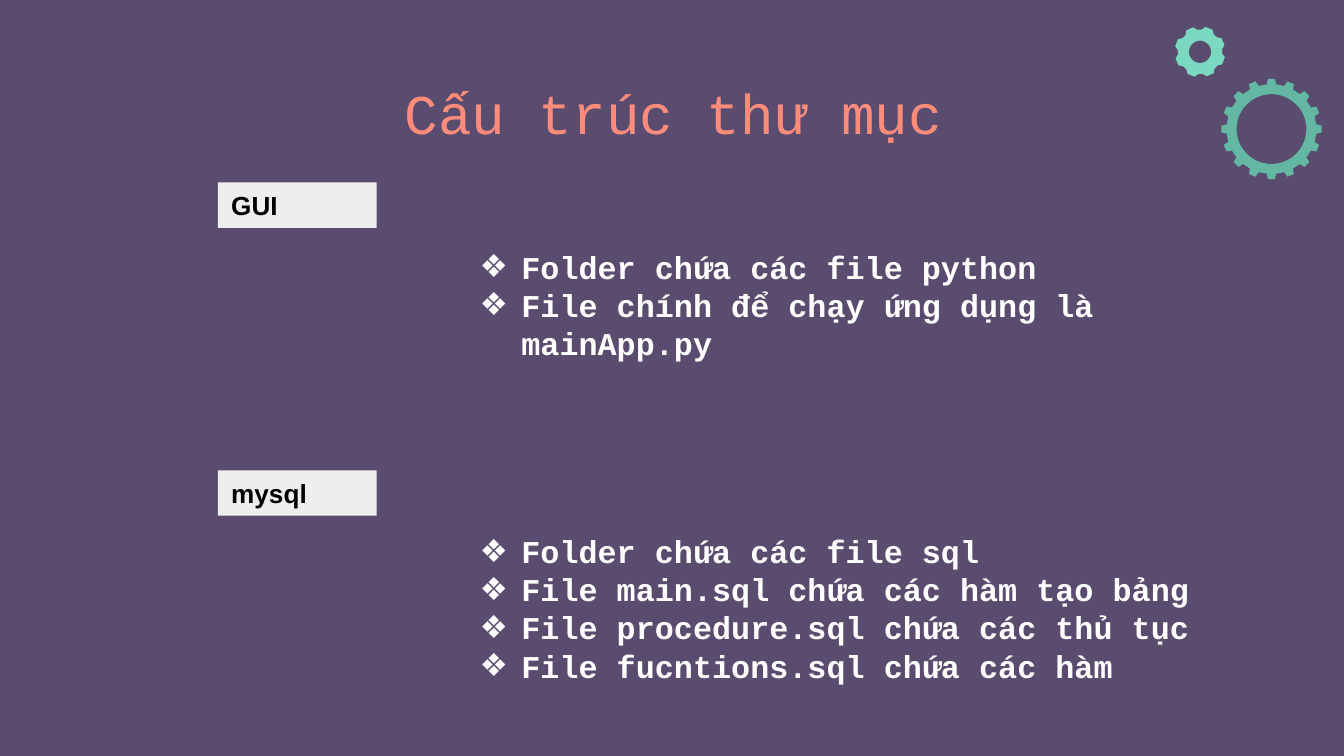
"""Build the folder structure slide: title, two labelled lists and two gears."""
from math import cos, radians, sin

from lxml import etree
from pptx import Presentation
from pptx.dml.color import RGBColor
from pptx.enum import shapes, text
from pptx.oxml.ns import qn
from pptx.util import Cm, Pt

COLOURS = {
    "background": "594C6F",
    "title": "FF8B7B",
    "label": "EEEEEE",
    "label_text": "000000",
    "list": "FFFFFF",
    "large_gear": "64B7A2",
    "small_gear": "7BD9C1",
}
TITLE = "Cấu trúc thư mục"
FOLDERS = [
    {
        "name": "GUI",
        "label_top": 3.45,
        "list_top": 4.55,
        "list_height": 1.7,
        "items": ["Folder chứa các file python", "File chính để chạy ứng dụng là mainApp.py"],
    },
    {
        "name": "mysql",
        "label_top": 8.89,
        "list_top": 9.93,
        "list_height": 3.18,
        "items": [
            "Folder chứa các file sql",
            "File main.sql chứa các hàm tạo bảng",
            "File procedure.sql chứa các thủ tục",
            "File fucntions.sql chứa các hàm",
        ],
    },
]
GEARS = [
    {"colour": "large_gear", "centre": (24.03, 2.44), "outer": 0.95, "root": 0.85, "hole": 0.66,
     "teeth": 16, "start": -90, "tip": 4, "base": 6},
    {"colour": "small_gear", "centre": (22.68, 0.98), "outer": 0.48, "root": 0.42, "hole": 0.21,
     "teeth": 8, "start": -69, "tip": 8.5, "base": 17},
]
TITLE_FORMAT = {"name": "Courier New", "size": Pt(30), "bold": False}
LABEL_FORMAT = {"name": "Arial", "size": Pt(14), "bold": True}
LIST_FORMAT = {"name": "Courier New", "size": Pt(17), "bold": True}
INDENT = Cm(0.79)


def rgb(name):
    return RGBColor.from_string(COLOURS[name])


def set_attributes(target, values):
    for name, value in values.items():
        setattr(target, name, value)


def place(shape, left, top, width, height):
    set_attributes(shape, {"left": Cm(left), "top": Cm(top), "width": Cm(width), "height": Cm(height)})


def write(paragraph, content, font_format, colour):
    run = paragraph.add_run()
    run.text = content
    set_attributes(run.font, font_format)
    run.font.color.rgb = rgb(colour)


def paint(shape, colour):
    shape.shadow.inherit = False
    shape.fill.solid()
    shape.fill.fore_color.rgb = rgb(colour)
    shape.line.fill.background()


def add_bullet(paragraph):
    properties = paragraph._p.get_or_add_pPr()
    properties.set("marL", str(INDENT))
    properties.set("indent", str(-INDENT))
    colour = etree.SubElement(properties, qn("a:buClr"))
    etree.SubElement(colour, qn("a:srgbClr"), val=COLOURS["list"])
    etree.SubElement(properties, qn("a:buChar"), char="❖")


def add_title(shape):
    place(shape, 1.98, 0.99, 21.49, 1.6)
    set_attributes(shape.text_frame, {
        "auto_size": text.MSO_AUTO_SIZE.NONE, "vertical_anchor": text.MSO_ANCHOR.TOP,
        "margin_top": Cm(0.49), "margin_bottom": 0,
    })
    paragraph = shape.text_frame.paragraphs[0]
    paragraph.alignment = text.PP_ALIGN.CENTER
    write(paragraph, TITLE, TITLE_FORMAT, "title")


def add_label(slide, folder):
    shape = slide.shapes.add_shape(
        shapes.MSO_SHAPE.RECTANGLE, Cm(4.12), Cm(folder["label_top"]), Cm(3), Cm(0.86))
    paint(shape, "label")
    paragraph = shape.text_frame.paragraphs[0]
    paragraph.alignment = text.PP_ALIGN.LEFT
    write(paragraph, folder["name"], LABEL_FORMAT, "label_text")


def add_list(shape, folder):
    place(shape, 8.81, folder["list_top"], 15.8, folder["list_height"])
    frame = shape.text_frame
    set_attributes(frame, {"auto_size": text.MSO_AUTO_SIZE.NONE, "word_wrap": True,
                           "vertical_anchor": text.MSO_ANCHOR.TOP})
    for index, item in enumerate(folder["items"]):
        paragraph = frame.add_paragraph() if index else frame.paragraphs[0]
        add_bullet(paragraph)
        paragraph.space_before = Pt(0)
        write(paragraph, item, LIST_FORMAT, "list")


def add_gear(slide, gear):
    def point(radius, degrees):
        x, y = gear["centre"]
        angle = radians(degrees)
        return Cm(x + radius * cos(angle)), Cm(y + radius * sin(angle))

    corners = [("root", -gear["base"]), ("outer", -gear["tip"]),
               ("outer", gear["tip"]), ("root", gear["base"])]
    rim = [point(gear[radius], gear["start"] + tooth * 360 / gear["teeth"] + offset)
           for tooth in range(gear["teeth"]) for radius, offset in corners]
    hole = [point(gear["hole"], -degrees) for degrees in range(0, 360, 6)]
    builder = slide.shapes.build_freeform(*rim[0])
    builder.add_line_segments(rim[1:])
    builder.move_to(*hole[0])
    builder.add_line_segments(hole[1:])
    paint(builder.convert_to_shape(), gear["colour"])


def main():
    presentation = Presentation()
    presentation.slide_width, presentation.slide_height = Cm(25.4), Cm(14.29)
    slide = presentation.slides.add_slide(presentation.slide_layouts.get_by_name("Two Content"))
    slide.background.fill.solid()
    slide.background.fill.fore_color.rgb = rgb("background")
    for gear in GEARS:
        add_gear(slide, gear)
    add_title(slide.shapes.title)
    for index, folder in enumerate(FOLDERS, start=1):
        add_label(slide, folder)
        add_list(slide.placeholders[index], folder)
    presentation.save("out.pptx")


if __name__ == "__main__":
    main()
